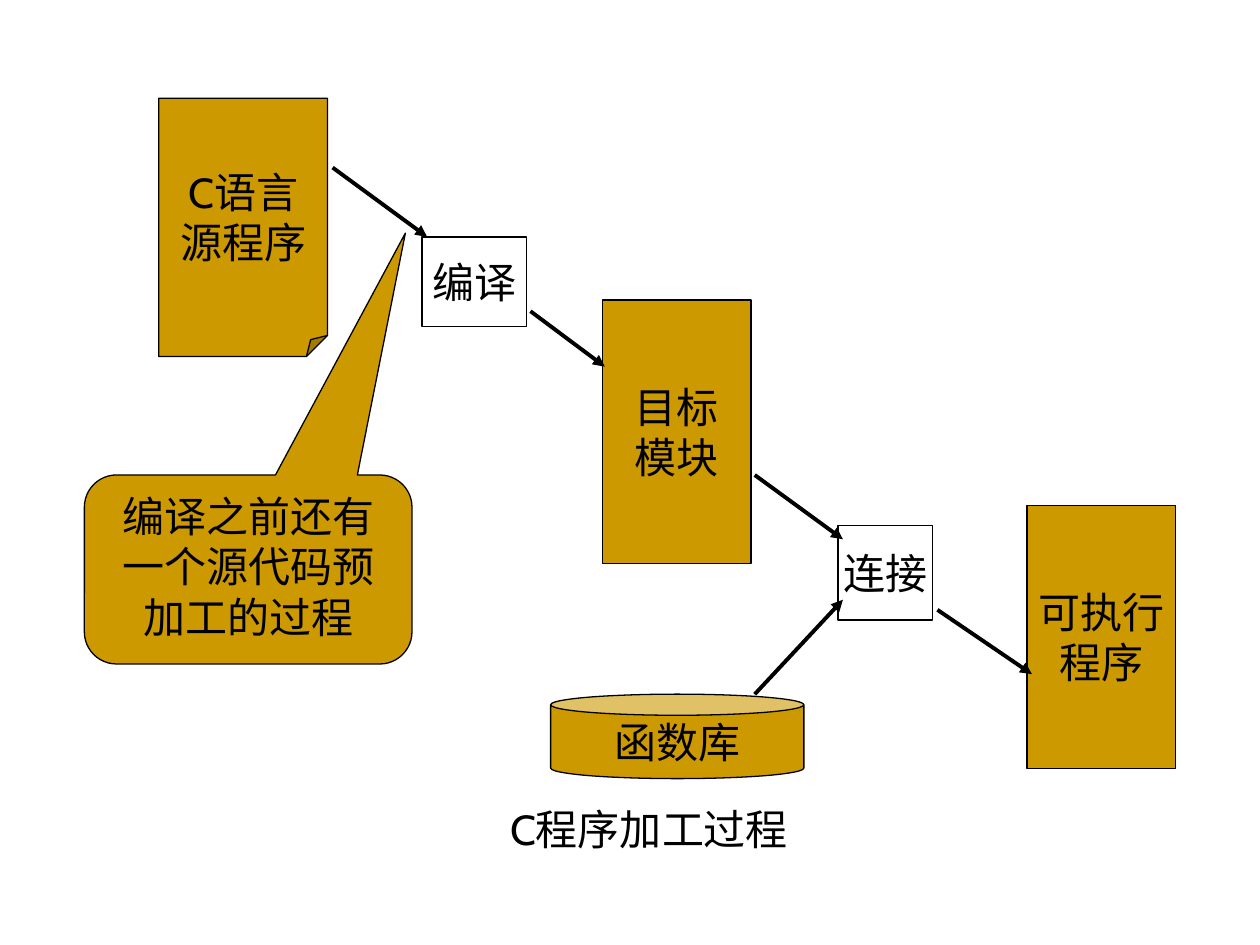
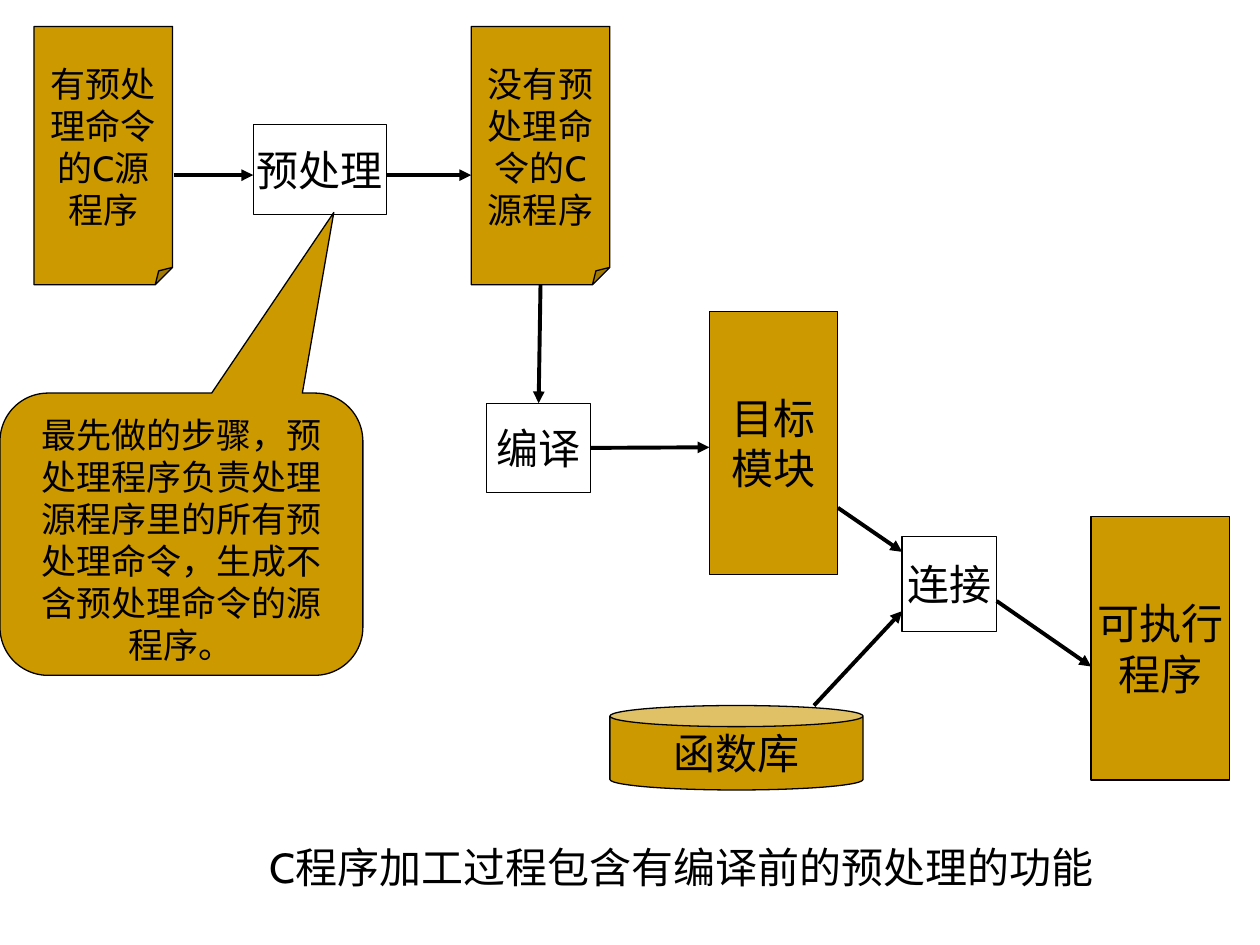
from dataclasses import dataclass
from typing import Optional

from lxml.etree import SubElement
from pptx import Presentation
from pptx.dml.color import RGBColor
from pptx.enum.shapes import MSO_CONNECTOR as Connector, MSO_SHAPE as Preset
from pptx.enum.text import MSO_ANCHOR as Anchor, MSO_AUTO_SIZE as AutoSize, PP_ALIGN as Align
from pptx.oxml.ns import qn
from pptx.util import Inches, Pt

COLORS = {"gold": "CC9900", "white": "FFFFFF", "ink": "000000"}
FONT = "Cabin"
SLIDE_WIDTH, SLIDE_HEIGHT = Inches(10), Inches(7.5)
COLUMNS, ROWS = 100, 75


@dataclass(frozen=True)
class Style:
    preset: Preset
    fill: str
    wrap: bool = False
    anchor: Anchor = Anchor.MIDDLE


PAPER = Style(Preset.FOLDED_CORNER, "gold")
WRAPPED_PAPER = Style(Preset.FOLDED_CORNER, "gold", wrap=True)
STEP = Style(Preset.RECTANGLE, "white")
PRODUCT = Style(Preset.RECTANGLE, "gold")
STORE = Style(Preset.CAN, "gold")
CALLOUT = Style(Preset.ROUNDED_RECTANGULAR_CALLOUT, "gold", wrap=True, anchor=Anchor.TOP)


@dataclass(frozen=True)
class Node:
    style: Style
    column: float
    row: float
    width: float
    height: float
    text: str
    size: int = 24
    adjustments: tuple[float, ...] = ()


@dataclass(frozen=True)
class Joint:
    node: str
    side: int


@dataclass(frozen=True)
class Arrow:
    start: tuple[float, float]
    end: tuple[float, float]
    start_joint: Optional[Joint] = None
    end_joint: Optional[Joint] = None


@dataclass(frozen=True)
class Caption:
    column: float
    row: float
    width: float
    text: str


@dataclass(frozen=True)
class Diagram:
    nodes: dict[str, Node]
    arrows: list[Arrow]
    caption: Caption
    callout: Node


def across(columns: float) -> int:
    return round(SLIDE_WIDTH * columns / COLUMNS)


def down(rows: float) -> int:
    return round(SLIDE_HEIGHT * rows / ROWS)


def color(name: str) -> RGBColor:
    return RGBColor.from_string(COLORS[name])


def write_text(shape, text: str, size: int, align: Align) -> None:
    shape.text_frame.text = text
    for paragraph in shape.text_frame.paragraphs:
        paragraph.alignment = align
        for run in paragraph.runs:
            run.font.name = FONT
            run.font.size = Pt(size)
            run.font.color.rgb = color("ink")


def set_fold(shape) -> None:
    geometry = shape._element.spPr.find(qn("a:prstGeom"))
    guides = geometry.find(qn("a:avLst"))
    if guides is None:
        guides = SubElement(geometry, qn("a:avLst"))
    SubElement(guides, qn("a:gd"), name="adj", fmla="val 12500")


def draw_node(slide, node: Node):
    shape = slide.shapes.add_shape(
        node.style.preset, across(node.column), down(node.row),
        across(node.width), down(node.height),
    )
    shape.shadow.inherit = False
    shape.fill.solid()
    shape.fill.fore_color.rgb = color(node.style.fill)
    shape.line.color.rgb = color("ink")
    shape.line.width = Pt(0.75)
    for index, value in enumerate(node.adjustments):
        shape.adjustments[index] = value
    if node.style.preset == Preset.FOLDED_CORNER:
        set_fold(shape)
    shape.text_frame.word_wrap = node.style.wrap
    shape.text_frame.vertical_anchor = node.style.anchor
    write_text(shape, node.text, node.size, Align.CENTER)
    return shape


def draw_arrow(slide, arrow: Arrow, shapes: dict) -> None:
    connector = slide.shapes.add_connector(
        Connector.STRAIGHT, across(arrow.start[0]), down(arrow.start[1]),
        across(arrow.end[0]), down(arrow.end[1]),
    )
    if arrow.start_joint:
        connector.begin_connect(shapes[arrow.start_joint.node], arrow.start_joint.side)
    if arrow.end_joint:
        connector.end_connect(shapes[arrow.end_joint.node], arrow.end_joint.side)
    connector.line.color.rgb = color("ink")
    connector.line.width = Pt(2.25)
    SubElement(connector.line._get_or_add_ln(), qn("a:tailEnd"), type="triangle")
    SubElement(connector._element.spPr, qn("a:effectLst"))


def draw_caption(slide, caption: Caption) -> None:
    box = slide.shapes.add_textbox(
        across(caption.column), down(caption.row), across(caption.width), down(5)
    )
    box.text_frame.word_wrap = False
    box.text_frame.auto_size = AutoSize.SHAPE_TO_FIT_TEXT
    write_text(box, caption.text, 24, Align.LEFT)


def draw_diagram(presentation, diagram: Diagram) -> None:
    slide = presentation.slides.add_slide(presentation.slide_layouts[6])
    shapes = {name: draw_node(slide, node) for name, node in diagram.nodes.items()}
    for arrow in diagram.arrows:
        draw_arrow(slide, arrow, shapes)
    draw_caption(slide, diagram.caption)
    draw_node(slide, diagram.callout)


def compile_step(column: float, row: float) -> Node:
    return Node(STEP, column, row, 8.3, 7.1, "编译")


def link_stage(column: float, row: float, module_column: float, module_width: float,
               library_column: float, program_width: float) -> dict[str, Node]:
    return {
        "module": Node(PRODUCT, module_column, row - 17.9, module_width, 20.9, "目标\n模块"),
        "linker": Node(STEP, column, row, 7.5, 7.5, "连接"),
        "program": Node(PRODUCT, column + 15, row - 1.6, program_width, 20.9, "可执行\n程序"),
        "library": Node(STORE, library_column, row + 13.4, 20.1, 6.7, "函数库",
                        adjustments=(0.25,)),
    }


BASIC_PROCESS = Diagram(
    nodes={
        "source": Node(PAPER, 12.6, 7.8, 13.4, 20.5, "C语言\n源程序"),
        "compiler": compile_step(33.5, 18.8),
        **link_stage(66.5, 41.7, 47.8, 11.8, 43.7, 11.8),
    },
    arrows=[
        Arrow((26.4, 13.3), (33.9, 18.8)),
        Arrow((42.1, 24.7), (48, 29.1)),
        Arrow((59.9, 37.7), (66.9, 42.8)),
        Arrow((74.4, 48.4), (81.9, 53.5)),
        Arrow((59.9, 55.1), (66.9, 47.6)),
    ],
    caption=Caption(39.5, 63.3, 24.9, "C程序加工过程"),
    callout=Node(CALLOUT, 6.7, 37.7, 26, 15, "编译之前还有一个源代码预加工的过程",
                 adjustments=(0.48, -1.78, 0.17)),
)

PREPROCESSED_PROCESS = Diagram(
    nodes={
        "source": Node(WRAPPED_PAPER, 2.7, 2.1, 11, 20.5, "有预处理命令的C源程序", 20),
        "preprocessor": Node(STEP, 20.1, 9.9, 10.6, 7.1, "预处理"),
        "expanded": Node(WRAPPED_PAPER, 37.4, 2.1, 11, 20.5, "没有预处理命令的C源程序", 20),
        "compiler": compile_step(38.6, 32),
        **link_stage(71.6, 42.6, 56.3, 10.2, 48.4, 11),
    },
    arrows=[
        Arrow((13.8, 13.9), (20.1, 13.9)),
        Arrow((30.7, 13.9), (37.4, 13.9)),
        Arrow((42.9, 22.6), (42.9, 32), Joint("expanded", 2), Joint("compiler", 0)),
        Arrow((46.9, 35.5), (56.3, 35.5), Joint("compiler", 3)),
        Arrow((66.5, 40.3), (71.6, 43.8)),
        Arrow((79.1, 47.7), (86.6, 52.9)),
        Arrow((64.6, 56), (71.6, 48.5)),
    ],
    caption=Caption(20.4, 66.3, 68.2, "C程序加工过程包含有编译前的预处理的功能"),
    callout=Node(
        CALLOUT, 0, 31.2, 28.8, 22.4,
        "最先做的步骤，预处理程序负责处理源程序里的所有预处理命令，生成不含预处理命令的源程序。",
        20, (0.42, -1.14, 0.17),
    ),
)


def main() -> None:
    presentation = Presentation()
    presentation.slide_width, presentation.slide_height = SLIDE_WIDTH, SLIDE_HEIGHT
    for diagram in (BASIC_PROCESS, PREPROCESSED_PROCESS):
        draw_diagram(presentation, diagram)
    presentation.save("out.pptx")


if __name__ == "__main__":
    main()
